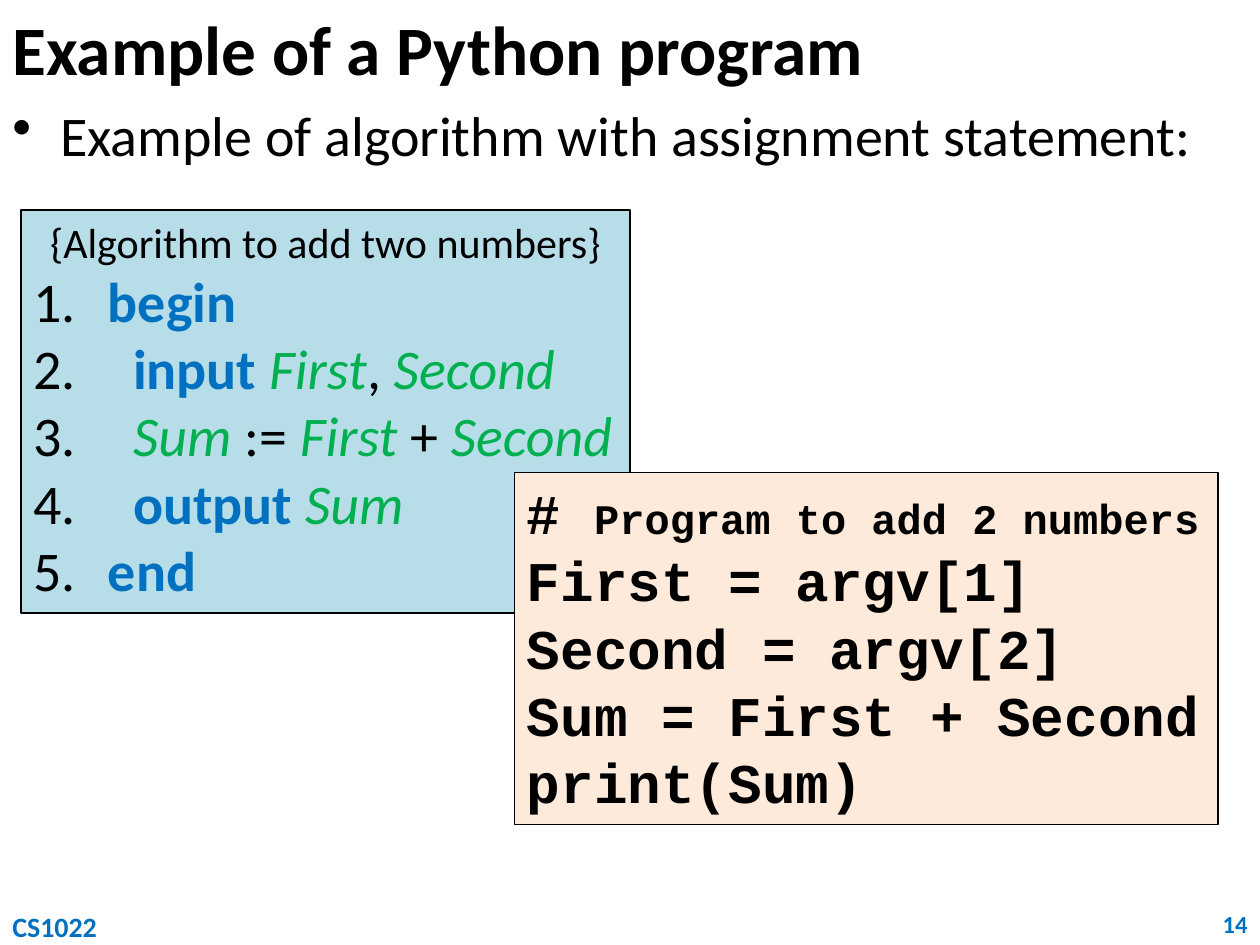
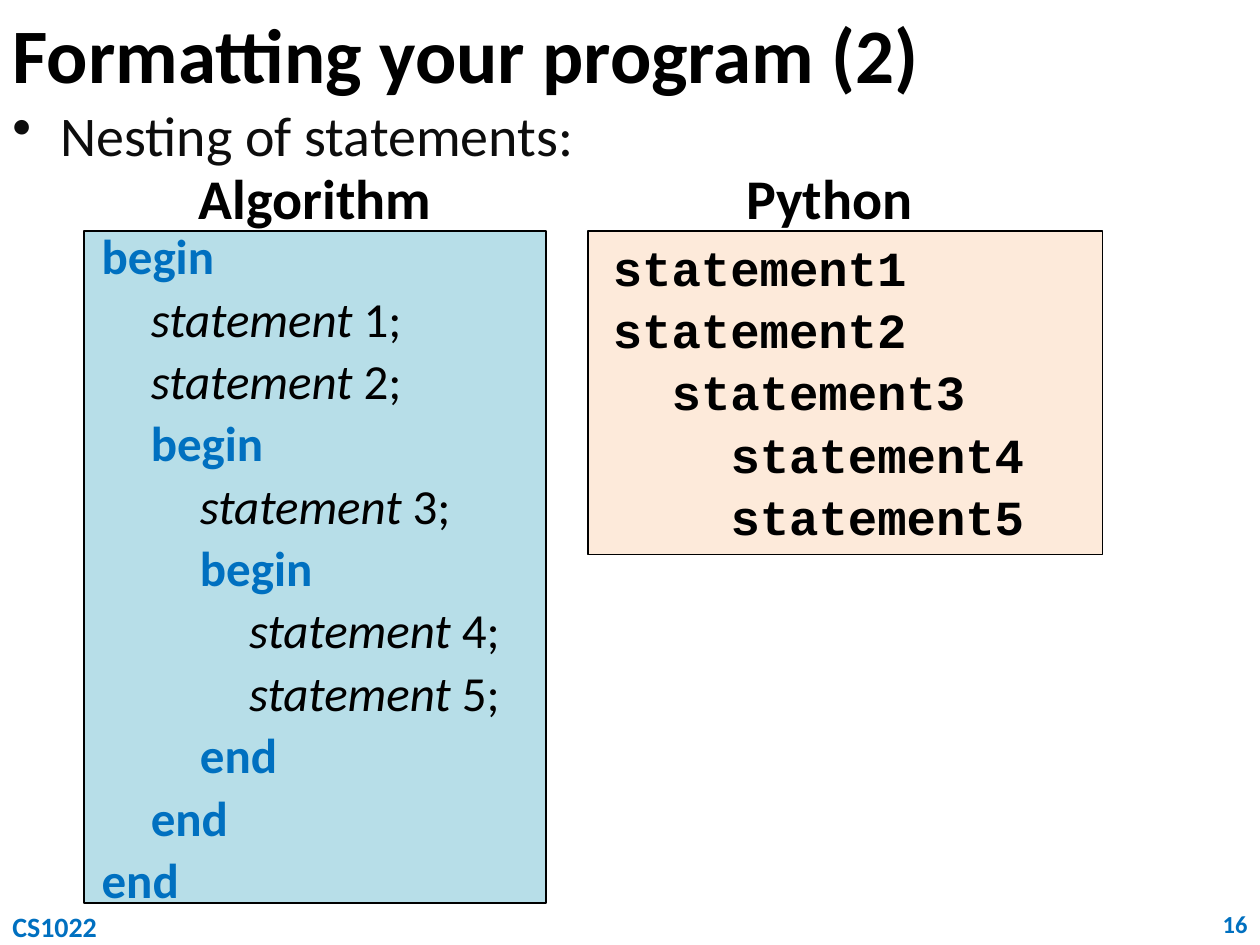
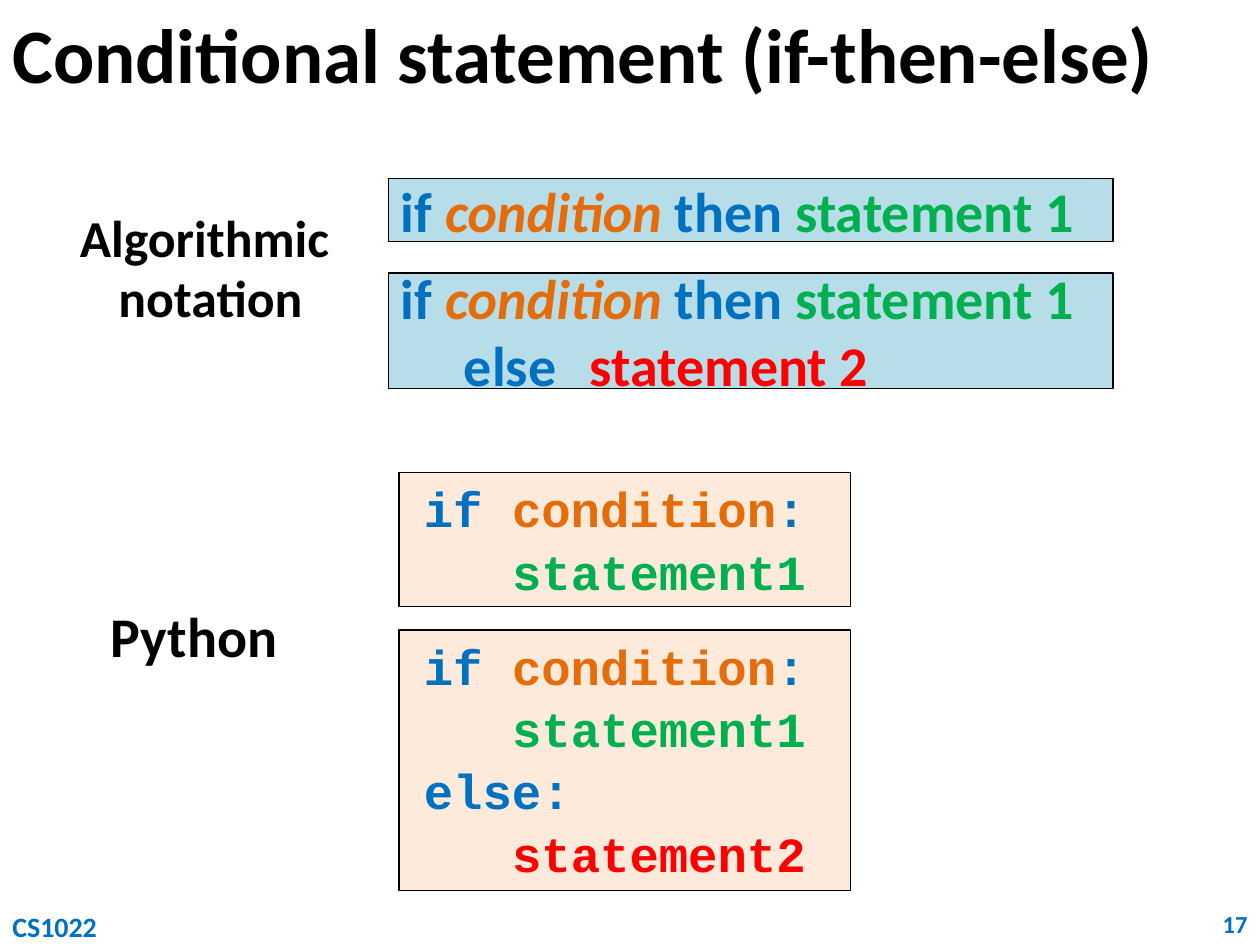
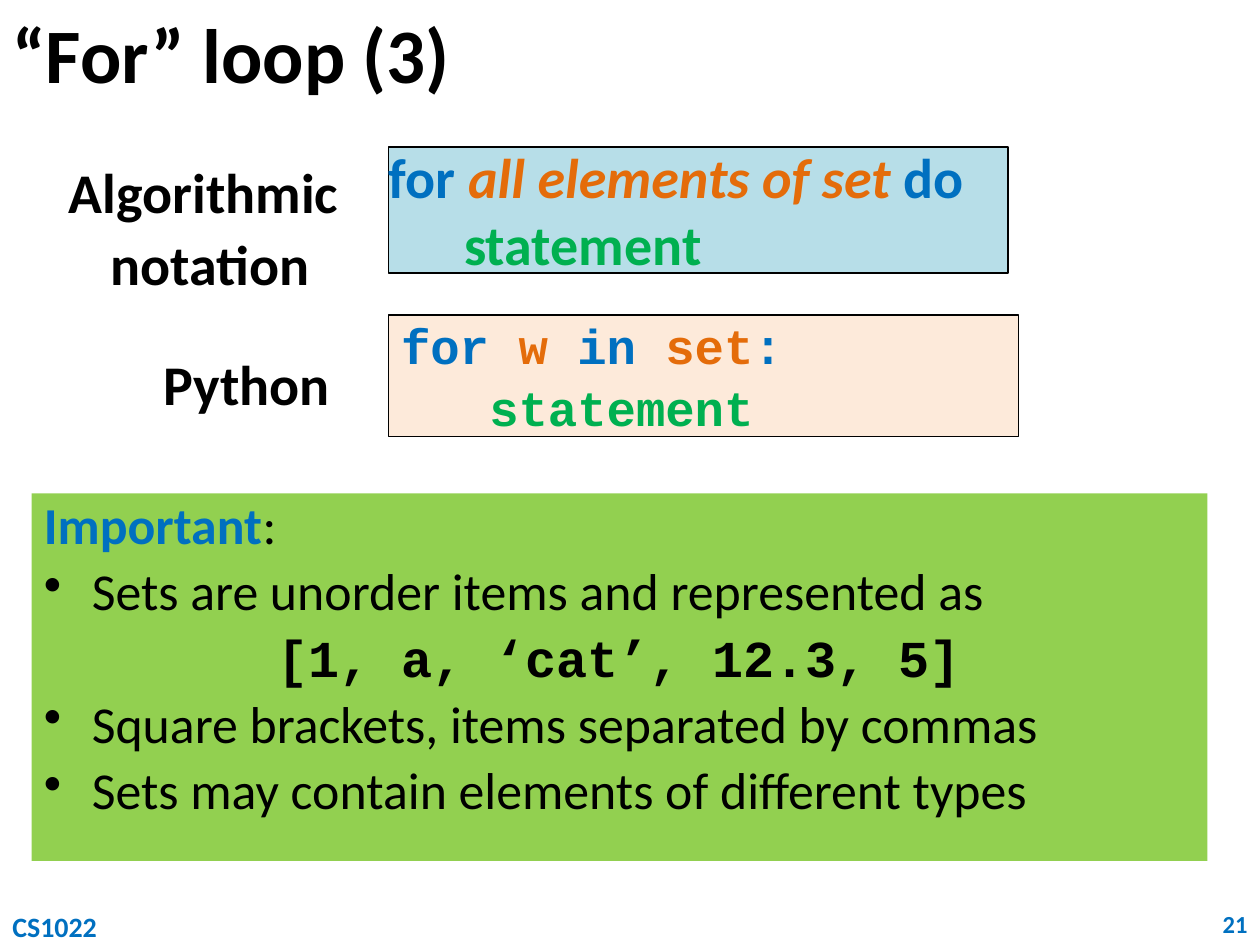
from dataclasses import dataclass

from lxml.etree import SubElement
from pptx import Presentation
from pptx.dml.color import RGBColor as Rgb
from pptx.enum.shapes import MSO_SHAPE as Preset
from pptx.enum.text import MSO_ANCHOR as Anchor, PP_ALIGN as Align
from pptx.oxml.ns import qn
from pptx.util import Inches, Pt

COLORS = {
    "black": "000000",
    "soft": "0D0D0D",
    "blue": "0070C0",
    "green": "00B050",
    "orange": "E46C0A",
    "red": "FF0000",
    "algorithm": "B7DEE8",
    "python": "FDEADA",
    "note": "92D050",
}
SANS, MONO = "Calibri", "Courier New"
WIDTH, HEIGHT = Inches(10), Inches(7.5)
COLUMNS, ROWS = 120, 90
COURSE = "CS1022"
STEP = 0.39
MONO_CELL = 0.6 * 28 / 72
FLAT = (0, 0, 0, 0)


@dataclass(frozen=True)
class Span:
    text: str
    ink: str = "black"
    bold: bool = False
    italic: bool = False
    size: float | None = None


@dataclass(frozen=True)
class Para:
    spans: list[Span]
    size: float = 32
    font: str = SANS
    align: Align = Align.LEFT
    margin: float = 0
    hang: float = 0
    before: float = 0
    spacing: float | None = None
    bullet: str = ""
    tabs: tuple[float, ...] = ()


@dataclass(frozen=True)
class Area:
    column: float
    row: float
    columns: float
    rows: float


@dataclass(frozen=True)
class Panel:
    area: Area
    paras: list[Para]
    fill: str = ""
    outline: bool = True
    anchor: Anchor = Anchor.TOP
    insets: tuple[float, float, float, float] = (0.1, 0.05, 0.1, 0.05)


def key(text: str) -> Span:
    return Span(text, "blue", bold=True)


def variable(text: str) -> Span:
    return Span(text, "green", italic=True)


def bold(text: str, ink: str = "black", italic: bool = False) -> Span:
    return Span(text, ink, True, italic)


def code(*spans: Span, cells: int = 0) -> Para:
    return Para(list(spans), 28, MONO, margin=0.1 + cells * MONO_CELL, before=2)


def numbered(*spans: Span, inner: bool = True) -> Para:
    margin = 0.69 if inner else 0.49
    return Para([Span(" "), *spans], margin=margin, hang=margin, bullet="number")


def nested(depth: int, *spans: Span) -> Para:
    return Para(list(spans), 28, margin=0.1 + depth * STEP, before=2)


def bulleted(text: str, ink: str = "black", size: float = 32, spacing: float | None = None) -> Para:
    return Para([Span(text, ink)], size, margin=0.38, hang=0.38,
                before=0.2 * size, spacing=spacing, bullet="dot")


def label(area: Area, *lines: str, size: float = 32, spacing: float | None = 0.9,
          anchor: Anchor = Anchor.TOP) -> Panel:
    paras = [Para([bold(line)], size, align=Align.CENTER, before=0.2 * size, spacing=spacing)
             for line in lines]
    return Panel(area, paras, anchor=anchor, insets=FLAT)


def heading(area: Area, text: str) -> Panel:
    return Panel(area, [Para([bold(text)], align=Align.CENTER)])


def body(text: str, ink: str = "black") -> Panel:
    return Panel(Area(0, 9, COLUMNS, 77), [bulleted(text, ink)])


def write_para(para, content: Para) -> None:
    para.alignment = content.align
    if content.spacing:
        para.line_spacing = content.spacing
    para.space_before = Pt(content.before)
    props = para._p.get_or_add_pPr()
    props.set("marL", str(Inches(content.margin)))
    props.set("indent", str(-Inches(content.hang)))
    if content.bullet:
        tint = SubElement(props, qn("a:buClr"))
        SubElement(tint, qn("a:srgbClr"), val=COLORS[content.spans[0].ink])
    if content.bullet == "number":
        SubElement(props, qn("a:buAutoNum"), type="arabicPeriod")
    elif content.bullet == "dot":
        SubElement(props, qn("a:buChar"), char="•")
    else:
        SubElement(props, qn("a:buNone"))
    if content.tabs:
        stops = SubElement(props, qn("a:tabLst"))
        for stop in content.tabs:
            SubElement(stops, qn("a:tab"), pos=str(Inches(stop)), algn="l")
    for span in content.spans:
        run = para.add_run()
        run.text = span.text
        run.font.name = content.font
        run.font.size = Pt(span.size or content.size)
        run.font.bold = span.bold
        run.font.italic = span.italic
        run.font.color.rgb = Rgb.from_string(COLORS[span.ink])


def draw(page, panel: Panel) -> None:
    area = panel.area
    place = (
        int(WIDTH * area.column / COLUMNS),
        int(HEIGHT * area.row / ROWS),
        int(WIDTH * area.columns / COLUMNS),
        int(HEIGHT * area.rows / ROWS),
    )
    if panel.fill:
        box = page.shapes.add_shape(Preset.RECTANGLE, *place)
        box.shadow.inherit = False
        box.fill.solid()
        box.fill.fore_color.rgb = Rgb.from_string(COLORS[panel.fill])
        if panel.outline:
            box.line.color.rgb = Rgb.from_string(COLORS["black"])
            box.line.width = Pt(0.75)
        else:
            box.line.fill.background()
    else:
        box = page.shapes.add_textbox(*place)
    frame = box.text_frame
    frame.word_wrap = True
    frame.vertical_anchor = panel.anchor
    frame.margin_left, frame.margin_top, frame.margin_right, frame.margin_bottom = map(
        Inches, panel.insets)
    for index, content in enumerate(panel.paras):
        write_para(frame.add_paragraph() if index else frame.paragraphs[0], content)


def add_page(deck, title: str, number: int, panels: list[Panel], title_size: float = 44) -> None:
    page = deck.slides.add_slide(deck.slide_layouts[6])
    shared = [
        Panel(Area(0, 0, COLUMNS, 9), [Para([bold(title)], title_size)]),
        Panel(Area(115, 86, 5, 4), [Para([key(str(number))], 14, align=Align.RIGHT)]),
        Panel(Area(0, 86, 11, 4), [Para([key(COURSE)], 16)]),
    ]
    for panel in shared + panels:
        draw(page, panel)


def example_panels() -> list[Panel]:
    algorithm = [
        Para([Span("{Algorithm to add two numbers}")], 24, align=Align.CENTER),
        numbered(key("begin"), inner=False),
        numbered(key("input "), variable("First"), Span(", "), variable("Second")),
        numbered(variable("Sum"), Span(" := "), variable("First"), Span(" + "),
                 variable("Second")),
        numbered(key("output "), variable("Sum")),
        numbered(key("end"), inner=False),
    ]
    statements = ["First = argv[1]", "Second = argv[2]", "Sum = First + Second", "print(Sum)"]
    comment = [bold("# "), Span("Program to add 2 numbers", bold=True, size=24)]
    program = [Para(spans, font=MONO) for spans in [comment, *([bold(s)] for s in statements)]]
    return [
        body("Example of algorithm with assignment statement:"),
        Panel(Area(2, 20, 58, 38.4), algorithm, "algorithm"),
        Panel(Area(49, 45, 67, 33.5), program, "python"),
    ]


def nesting_panels() -> list[Panel]:
    outline = [(0, "begin"), (1, "1;"), (1, "2;"), (1, "begin"), (2, "3;"), (2, "begin"),
               (3, "4;"), (3, "5;"), (2, "end"), (1, "end"), (0, "end")]
    algorithm = [
        nested(depth, Span("statement ", italic=True), Span(word)) if word.endswith(";")
        else nested(depth, key(word))
        for depth, word in outline
    ]
    program = [code(bold(f"statement{index}"), cells=cells)
               for index, cells in enumerate((0, 0, 2, 4, 4), 1)]
    return [
        body("Nesting of statements:", "soft"),
        Panel(Area(8, 22, 44, 64), algorithm, "algorithm", anchor=Anchor.MIDDLE,
              insets=(0.04, 0, 0.04, 0)),
        heading(Area(8, 15, 44, 8), "Algorithm"),
        Panel(Area(56, 22, 49, 30.8), program, "python"),
        heading(Area(59, 15, 40, 8), "Python"),
    ]


def conditional_panels() -> list[Panel]:
    if_then = Para([key("if "), bold("condition ", "orange", True), key("then "),
                    bold("statement 1", "green")])
    otherwise = Para([key("\telse \t"), bold("statement 2", "red")], tabs=(2.16, 3.14))
    if_code = [code(key("if "), bold("condition", "orange"), key(":")),
               code(bold("statement1", "green"), cells=3)]
    else_code = [code(key("else:")), code(bold("statement2", "red"), cells=3)]
    notation = [(Area(37, 17, 69, 6), [if_then]), (Area(37, 26, 69, 11), [if_then, otherwise])]
    programs = [(Area(38, 45, 43, 12.8), if_code), (Area(38, 60, 43, 24.8), if_code + else_code)]
    return [
        label(Area(2, 20, 35, 12), "Algorithmic", " notation", size=29.6, spacing=0.8,
              anchor=Anchor.MIDDLE),
        *(Panel(area, paras, "algorithm", anchor=Anchor.MIDDLE, insets=(0.1, 0.04, 0.1, 0.04))
          for area, paras in notation),
        *(Panel(area, paras, "python") for area, paras in programs),
        label(Area(6, 58, 25, 6), "Python"),
    ]


def loop_panels() -> list[Panel]:
    algorithm = [
        Para([key("for "), bold("all elements of set ", "orange", True), key("do")]),
        Para([bold("statement", "green")], margin=0.6),
    ]
    program = [
        code(key("for "), bold("w ", "orange"), key("in "), bold("set", "orange"), key(":")),
        code(bold("statement", "green"), cells=3),
    ]
    size, spacing = 29.6, 0.9
    first, *others = [bulleted(text, size=size, spacing=spacing) for text in (
        "Sets are unorder items and represented as",
        "Square brackets, items separated by commas",
        "Sets may contain elements of different types",
    )]
    note = [
        Para([key("Important"), Span(":")], size, spacing=spacing),
        first,
        Para([bold("[1, a, ‘cat’, 12.3, 5]")], size, MONO, Align.CENTER,
             before=0.2 * size, spacing=spacing),
        *others,
    ]
    return [
        label(Area(4, 15, 32, 14), "Algorithmic ", "notation", anchor=Anchor.MIDDLE),
        Panel(Area(37, 30, 60, 11.6), program, "python", insets=FLAT),
        label(Area(11, 34, 25, 6), "Python"),
        Panel(Area(37, 14, 59, 12), algorithm, "algorithm", anchor=Anchor.MIDDLE, insets=FLAT),
        Panel(Area(3, 47, 112, 35), note, "note", outline=False),
    ]


def main() -> None:
    deck = Presentation()
    deck.slide_width, deck.slide_height = WIDTH, HEIGHT
    add_page(deck, "Example of a Python program", 14, example_panels(), 39.6)
    add_page(deck, "Formatting your program (2)", 16, nesting_panels())
    add_page(deck, "Conditional statement (if-then-else)", 17, conditional_panels())
    add_page(deck, "“For” loop (3)", 21, loop_panels())
    deck.save("out.pptx")


if __name__ == "__main__":
    main()
